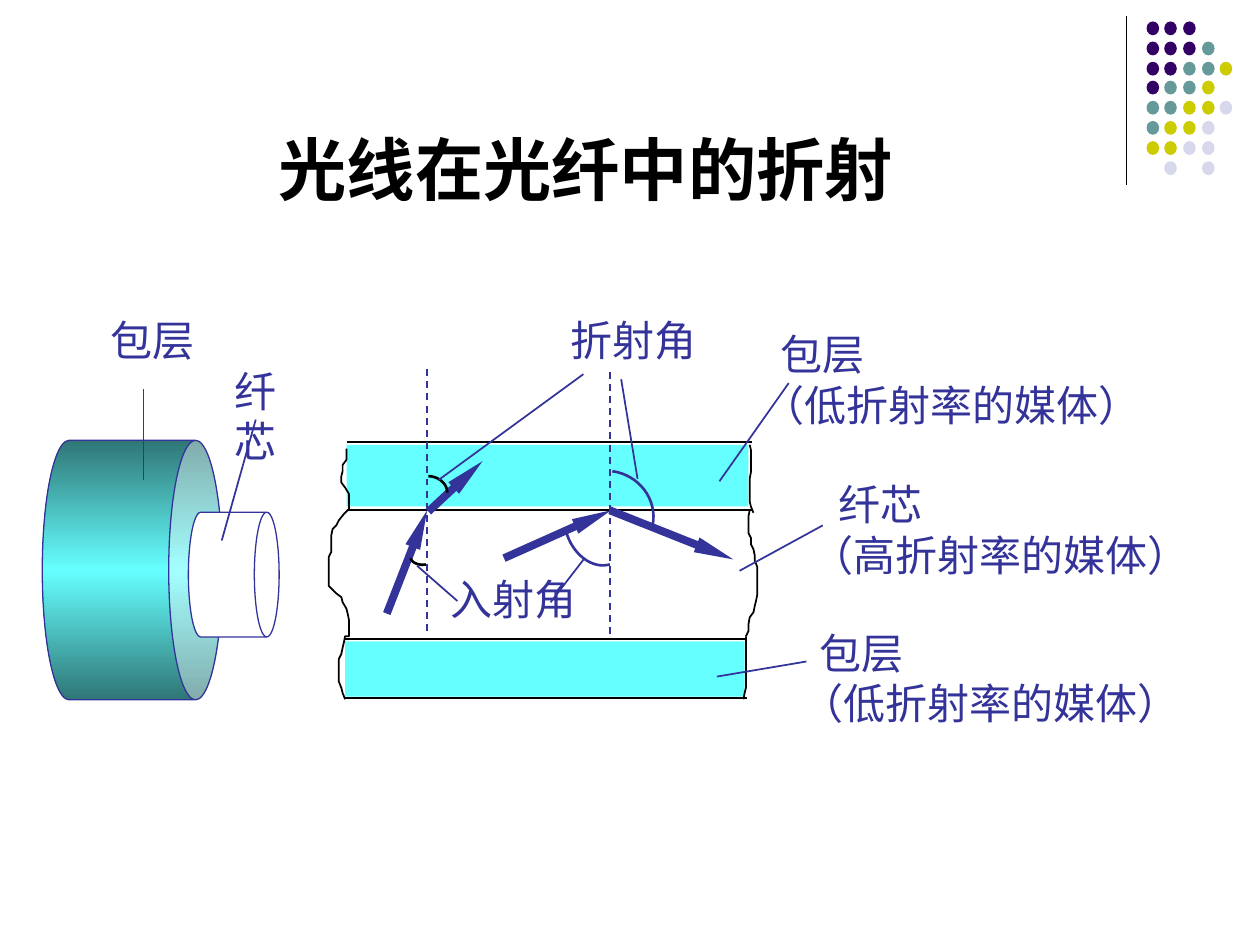
from copy import deepcopy

from lxml.etree import SubElement
from pptx import Presentation
from pptx.dml.color import RGBColor
from pptx.enum.dml import MSO_LINE_DASH_STYLE as Dash
from pptx.enum.shapes import MSO_CONNECTOR as Connector, MSO_SHAPE as Shape
from pptx.enum.text import MSO_ANCHOR as Anchor, MSO_AUTO_SIZE as AutoSize, PP_ALIGN as Align
from pptx.oxml.ns import qn
from pptx.util import Pt

SCALE = 9144
COLOURS = {
    "black": "000000", "white": "FFFFFF", "ink": "333399", "cladding": "66FFFF",
    "shade": "2F7676", "P": "330066", "T": "669999", "Y": "CCCC00", "L": "D8D8EC",
}
DOT_ROWS = ["PPP", "PPPT", "PPTTY", "PTTY", "TTYYL", "TYYL", "YYLL", ".L.L"]
LEFT_EDGE = [
    (275, 356), (275, 365), (272, 369), (272, 374), (271, 378), (271, 383), (274, 387),
    (277, 392), (277, 405), (276, 405), (273, 408), (269, 413), (267, 417), (264, 420),
    (263, 425), (263, 438), (261, 442), (261, 465), (264, 468), (267, 471), (271, 474),
    (272, 478), (275, 483), (276, 487), (277, 492), (277, 505), (274, 505), (273, 510),
    (272, 514), (271, 519), (269, 523), (269, 541), (271, 546), (272, 550), (274, 555),
]
RIGHT_EDGES = [
    [(595, 353), (596, 357), (596, 375), (595, 380), (595, 398), (596, 402), (598, 407)],
    [(595, 405), (594, 410), (594, 423), (596, 427), (596, 432), (598, 436), (599, 441),
     (599, 445), (601, 450), (601, 472), (600, 477), (599, 481), (598, 486), (595, 490),
     (594, 496), (594, 501), (592, 505)],
    [(592, 505), (592, 546), (591, 550), (590, 555)],
]


def px(*lengths):
    return [round(length * SCALE) for length in lengths]


def colour(name):
    return RGBColor.from_string(COLOURS[name])


def write_text(frame, text, size=24, name="ink", bold=False, align=Align.LEFT, indent=0):
    for index, line in enumerate(text.split("\n")):
        paragraph = frame.paragraphs[0] if index == 0 else frame.add_paragraph()
        paragraph.alignment = align
        if index == 0 and indent:
            paragraph._p.get_or_add_pPr().set("marL", str(indent * SCALE))
        run = paragraph.add_run()
        run.text = line
        run.font.name = "Arial"
        run.font.size = Pt(size)
        run.font.bold = bold
        run.font.color.rgb = colour(name)


class SlideBuilder:
    """Draws styled elements on one slide, measured in hundredths of an inch."""

    def __init__(self, slide):
        self.slide = slide
        self.shapes = slide.shapes

    def title(self, text, left, top, width, height):
        shape = self.shapes.title
        shape.left, shape.top, shape.width, shape.height = px(left, top, width, height)
        frame = shape.text_frame
        frame.auto_size = AutoSize.NONE
        frame.vertical_anchor = Anchor.BOTTOM
        frame.margin_right = px(24)[0]
        write_text(frame, text, size=39, name="black", bold=True, align=Align.CENTER)

    def label(self, text, left, top, width, height, wrap=False, indent=0):
        frame = self.shapes.add_textbox(*px(left, top, width, height)).text_frame
        frame.word_wrap = wrap
        frame.auto_size = AutoSize.SHAPE_TO_FIT_TEXT
        write_text(frame, text, indent=indent)

    def paint(self, shape, fill=None, line=None, weight=1):
        shape.shadow.inherit = False
        if fill:
            shape.fill.solid()
            shape.fill.fore_color.rgb = colour(fill)
        else:
            shape.fill.background()
        if line:
            shape.line.color.rgb = colour(line)
            shape.line.width = Pt(weight)
        else:
            shape.line.fill.background()
        return shape

    def shape(self, kind, left, top, width, height, fill, line=None, weight=0.75):
        shape = self.shapes.add_shape(kind, *px(left, top, width, height))
        return self.paint(shape, fill, line, weight)

    def cylinder(self, left, top, width, height, fill, rim):
        shape = self.shape(Shape.CAN, left, top, width, height, fill, "ink")
        shape.rotation = 90
        shape.adjustments[0] = rim
        return shape

    def gradient(self, shape, names):
        shape.fill.gradient()
        shape.fill.gradient_angle = 0
        stop_list = shape._element.spPr.find(qn("a:gradFill")).find(qn("a:gsLst"))
        while len(stop_list) < len(names):
            stop_list.append(deepcopy(stop_list[0]))
        for index, (stop, name) in enumerate(zip(shape.fill.gradient_stops, names)):
            stop.color.rgb = colour(name)
            stop.position = index / (len(names) - 1)

    def line(self, x1, y1, x2, y2, name="ink", weight=1, dashed=False, arrow=False):
        connector = self.shapes.add_connector(Connector.STRAIGHT, *px(x1, y1, x2, y2))
        connector.line.color.rgb = colour(name)
        connector.line.width = Pt(weight)
        if dashed:
            connector.line.dash_style = Dash.DASH
        if arrow:
            SubElement(connector.line._get_or_add_ln(), qn("a:tailEnd"),
                       type="triangle", w="sm", len="lg")
        SubElement(connector._element.spPr, qn("a:effectLst"))
        return connector

    def outline(self, points, name="black", weight=1):
        start, *rest = [px(*point) for point in points]
        builder = self.shapes.build_freeform(*start)
        builder.add_line_segments(rest, close=False)
        return self.paint(builder.convert_to_shape(), line=name, weight=weight)

    def curve(self, controls, name, steps=16):
        points = []
        for step in range(steps + 1):
            t = step / steps
            weights = ((1 - t) ** 3, 3 * t * (1 - t) ** 2, 3 * t * t * (1 - t), t ** 3)
            points.append([sum(w * value for w, value in zip(weights, axis))
                           for axis in zip(*controls)])
        self.outline(points, name, 1.5)

    def dots(self, left, top):
        dots = [self.shape(Shape.OVAL, round(left + 14.5 * column), round(top + 15.8 * row), 10, 11, key)
                for row, keys in enumerate(DOT_ROWS)
                for column, key in enumerate(keys) if key in COLOURS]
        self.shapes.add_group_shape(dots)

    def cladding_band(self, left, right, top, bottom, rectangle):
        edges = [self.line(left, y, right, y, "black") for y in (top, bottom)]
        band = self.shape(Shape.RECTANGLE, *rectangle, "cladding")
        self.shapes.add_group_shape([*edges, band])


def main():
    presentation = Presentation()
    presentation.slide_width, presentation.slide_height = px(1000, 750)
    slide = presentation.slides.add_slide(presentation.slide_layouts[5])
    builder = SlideBuilder(slide)

    builder.line(894, 13, 894, 147, "black", 0.75)
    builder.dots(910, 17)
    builder.title("光线在光纤中的折射", 50, 84, 844, 87)

    builder.cladding_band(275, 597, 351, 405, (275, 353, 319, 49))
    builder.cladding_band(273, 593, 507, 554, (274, 509, 317, 44))
    for x, top, bottom in [(339, 293, 505), (484, 295, 507)]:
        builder.line(x, top, x, bottom, dashed=True)
    for ray in [(340, 406, 383, 366), (307, 487, 339, 405),
                (400, 443, 485, 405), (484, 405, 582, 444)]:
        builder.line(*ray, weight=4.5, arrow=True)
    for name, controls in [
        ("black", [(338, 448), (333, 449), (327, 447), (326, 443)]),
        ("black", [(340, 378), (348, 378), (355, 384), (355, 391)]),
        ("ink", [(484, 448), (470, 452), (454, 440), (449, 421)]),
        ("ink", [(486, 374), (507, 377), (522, 396), (518, 417)]),
    ]:
        builder.curve(controls, name)
    for edge in [LEFT_EDGE, *RIGHT_EDGES]:
        builder.outline(edge)

    builder.label("折射角", 443, 245, 122, 50)
    builder.label("入射角", 348, 450, 122, 50)
    builder.label("包层\n（低折射率的媒体）", 595, 256, 320, 90, indent=15)
    builder.label("包层\n（低折射率的媒体）", 626, 493, 320, 90, indent=15)
    builder.label("纤芯\n（高折射率的媒体）", 634, 375, 348, 130, wrap=True, indent=22)

    outer = builder.cylinder(2, 381, 206, 143, "cladding", 0.298)
    builder.gradient(outer, ["shade", "cladding", "shade"])
    builder.cylinder(136, 420, 99, 72, "white", 0.273)
    builder.label("包层", 78, 245, 90, 50)
    builder.label("纤芯", 176, 285, 76, 90, wrap=True)

    for leader in [(493, 301, 506, 380), (348, 381, 463, 297), (331, 449, 363, 477),
                   (437, 478, 464, 443), (587, 453, 653, 417), (626, 304, 571, 382),
                   (640, 525, 569, 537), (114, 309, 114, 381), (203, 333, 176, 429)]:
        builder.line(*leader)

    presentation.save("out.pptx")


if __name__ == "__main__":
    main()
